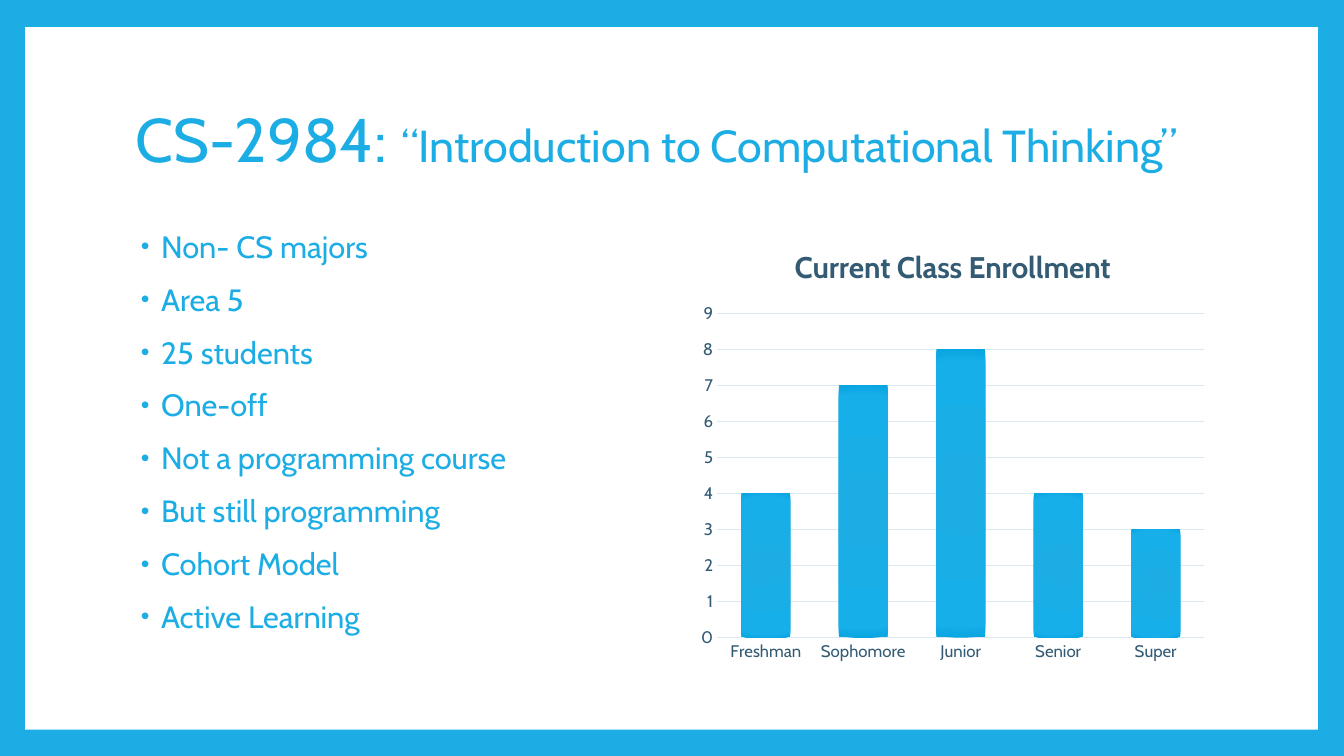
import dataclasses

import pptx
import pptx.chart.data
import pptx.dml.color
import pptx.enum.chart
import pptx.enum.shapes
import pptx.enum.text
import pptx.oxml
import pptx.oxml.ns
import pptx.util


@dataclasses.dataclass(frozen=True)
class Theme:
    font: str = "Cabin"
    accent: str = "1CADE4"
    accent_mid: str = "17AFE9"
    accent_edge: str = "07A5E1"
    paper: str = "FFFFFF"
    chart_text: str = "335B74"
    grid: str = "DBE8EF"
    course_size: float = 44
    name_size: float = 32
    bullet_size: float = 22
    chart_title_size: float = 21.3
    axis_size: float = 12


THEME = Theme()
SLIDE_W, SLIDE_H = 13.33, 7.5

# Grid: two equal columns between side margins, a title row and a content row
MARGIN, COL_W, GUTTER = 1.25, 5.2, 0.4
TITLE_TOP, TITLE_H = 0.67, 1.48
BODY_TOP, BODY_H = 2.25, 4.4

TITLE = [
    ("CS-2984: ", THEME.course_size),
    ("“Introduction to Computational Thinking”", THEME.name_size),
]
BULLETS = [
    "Non- CS majors",
    "Area 5",
    "25 students",
    "One-off",
    "Not a programming course",
    "But still programming",
    "Cohort Model",
    "Active Learning",
]
CHART_TITLE = "Current Class Enrollment"
ENROLLMENT = {"Freshman": 4, "Sophomore": 7, "Junior": 8, "Senior": 4, "Super": 3}


def rgb(color):
    return pptx.dml.color.RGBColor.from_string(color)


def box(left, top, width, height):
    return [pptx.util.Inches(v) for v in (left, top, width, height)]


def columns(first, top, height, span=1):
    """Box covering `span` grid columns, starting at column `first`."""
    left = MARGIN + first * (COL_W + GUTTER)
    return box(left, top, span * COL_W + (span - 1) * GUTTER, height)


def set_font(font, size, color, bold=None):
    font.name = THEME.font
    font.size = pptx.util.Pt(size)
    font.color.rgb = rgb(color)
    font.bold = bold


def set_line(line, color):
    line.color.rgb = rgb(color)
    line.width = pptx.util.Pt(0.75)


def add_frame(slide):
    """Coloured background with a white panel that leaves an even border."""
    fill = slide.background.fill
    fill.solid()
    fill.fore_color.rgb = rgb(THEME.accent)
    panel = slide.shapes.add_shape(
        pptx.enum.shapes.MSO_SHAPE.RECTANGLE, *box(0.25, 0.27, 12.82, 6.97))
    panel.shadow.inherit = False
    panel.fill.solid()
    panel.fill.fore_color.rgb = rgb(THEME.paper)
    panel.line.fill.background()


def add_text_frame(slide, area):
    tf = slide.shapes.add_textbox(*area).text_frame
    tf.word_wrap = True
    return tf


def add_title(slide, area, parts):
    tf = add_text_frame(slide, area)
    tf.vertical_anchor = pptx.enum.text.MSO_ANCHOR.MIDDLE
    p = tf.paragraphs[0]
    p.line_spacing = 0.9
    for text, size in parts:
        r = p.add_run()
        r.text = text
        set_font(r.font, size, THEME.accent)


def set_bullet(p):
    pPr = p._p.get_or_add_pPr()
    pPr.set("marL", str(pptx.util.Inches(0.25)))
    pPr.set("indent", str(pptx.util.Inches(-0.2)))
    ns = pptx.oxml.ns.nsdecls("a")
    bullet = [
        f'<a:buClr {ns}><a:srgbClr val="{THEME.accent}"/></a:buClr>',
        f'<a:buSzPct {ns} val="80000"/>',
        f'<a:buFont {ns} typeface="Arial"/>',
        f'<a:buChar {ns} char="•"/>',
    ]
    # Bullet properties go after spacing and before the default font
    at = len(pPr.findall(pptx.oxml.ns.qn("a:lnSpc")))
    at += len(pPr.findall(pptx.oxml.ns.qn("a:spcBef")))
    for i, xml in enumerate(bullet):
        pPr.insert(at + i, pptx.oxml.parse_xml(xml))


def add_bullets(slide, area, items):
    tf = add_text_frame(slide, area)
    for i, item in enumerate(items):
        p = tf.add_paragraph() if i else tf.paragraphs[0]
        p.text = item
        p.line_spacing = 0.9
        p.space_before = pptx.util.Pt(14)
        set_font(p.font, THEME.bullet_size, THEME.accent)
        set_bullet(p)


def set_radial_fill(series):
    """Gradient from the centre of each bar towards its edge."""
    series.format.fill.solid()
    spPr = series.format.fill._xPr
    stops = [(0, THEME.accent), (90, THEME.accent_mid), (100, THEME.accent_edge)]
    stop_xml = "".join(
        f'<a:gs pos="{pos * 1000}"><a:srgbClr val="{color}"/></a:gs>'
        for pos, color in stops)
    gradient = pptx.oxml.parse_xml(
        f'<a:gradFill {pptx.oxml.ns.nsdecls("a")} rotWithShape="1">'
        f'<a:gsLst>{stop_xml}</a:gsLst><a:path path="circle">'
        '<a:fillToRect l="100000" t="100000" r="100000" b="100000"/>'
        '</a:path></a:gradFill>')
    spPr.replace(spPr.find(pptx.oxml.ns.qn("a:solidFill")), gradient)


def style_axis(axis):
    axis.major_tick_mark = pptx.enum.chart.XL_TICK_MARK.NONE
    axis.minor_tick_mark = pptx.enum.chart.XL_TICK_MARK.NONE
    set_font(axis.tick_labels.font, THEME.axis_size, THEME.chart_text)


def add_column_chart(slide, area, title, values):
    data = pptx.chart.data.CategoryChartData()
    data.categories = list(values)
    data.add_series(title, list(values.values()))
    chart = slide.shapes.add_chart(
        pptx.enum.chart.XL_CHART_TYPE.COLUMN_CLUSTERED, *area, data).chart
    set_font(chart.font, 10, "000000")
    chart.has_legend = False

    # Title
    p = chart.chart_title.text_frame.paragraphs[0]
    r = p.add_run()
    r.text = title
    set_font(r.font, THEME.chart_title_size, THEME.chart_text, bold=True)
    chart.chart_title.include_in_layout = False

    # Bars
    plot = chart.plots[0]
    plot.gap_width = 100
    plot.overlap = -24
    plot.vary_by_categories = False
    set_radial_fill(plot.series[0])

    # Axes
    style_axis(chart.category_axis)
    set_line(chart.category_axis.format.line, THEME.grid)
    value_axis = chart.value_axis
    style_axis(value_axis)
    value_axis.minimum_scale, value_axis.maximum_scale = 0, 9
    value_axis.major_unit = 1
    value_axis.format.line.fill.background()
    set_line(value_axis.major_gridlines.format.line, THEME.grid)


def main():
    prs = pptx.Presentation()
    prs.slide_width = pptx.util.Inches(SLIDE_W)
    prs.slide_height = pptx.util.Inches(SLIDE_H)
    slide = prs.slides.add_slide(prs.slide_layouts[6])
    add_frame(slide)
    add_title(slide, columns(0, TITLE_TOP, TITLE_H, span=2), TITLE)
    add_bullets(slide, columns(0, BODY_TOP, BODY_H), BULLETS)
    add_column_chart(slide, columns(1, BODY_TOP, BODY_H), CHART_TITLE, ENROLLMENT)
    prs.save("out.pptx")


if __name__ == "__main__":
    main()
